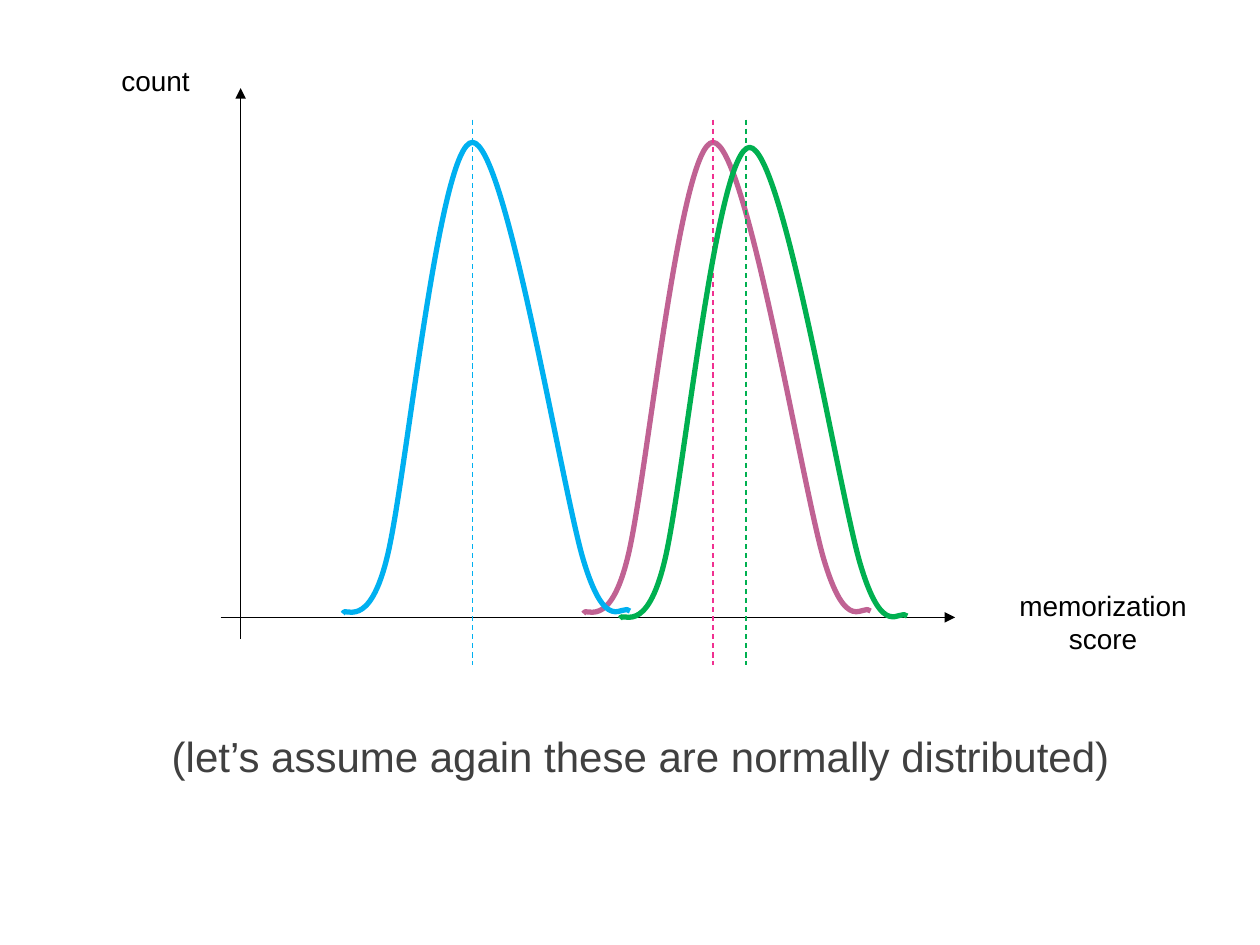
from lxml.etree import SubElement
from pptx import Presentation
from pptx.dml.color import RGBColor
from pptx.enum.dml import MSO_LINE as Dash
from pptx.enum.shapes import MSO_CONNECTOR as Conn, MSO_SHAPE as Shape
from pptx.enum.text import MSO_ANCHOR as Anchor, PP_ALIGN as Align
from pptx.oxml.ns import qn
from pptx.util import Inches, Pt

START = (0, 3.74)
BELL = [
    [(0.01, 3.67), (0.21, 3.91), (0.36, 3.26)],
    [(0.51, 2.61), (0.77, 0), (1.03, 0)],
    [(1.29, 0.01), (1.72, 2.63), (1.9, 3.28)],
    [(2.09, 3.94), (2.22, 3.65), (2.28, 3.72)],
]


def color(code):
    """Turn a hex string into a colour."""
    return RGBColor.from_string(code)


def bend(bell):
    """Turn the straight segments of a bell into cubic curves."""
    sides = list(bell._element.iter(qn("a:lnTo")))
    for side, dots in zip(sides, BELL):
        side.tag = qn("a:cubicBezTo")
        side.clear()
        for x, y in dots:
            SubElement(side, qn("a:pt"), x=str(Inches(x)), y=str(Inches(y)))


def add_bell(shapes, left, top, hue):
    """Draw one bell curve with its box at left and top."""
    knots = [START] + [dots[-1] for dots in BELL]
    dots = [(Inches(left + x), Inches(top + y)) for x, y in knots]
    pen = shapes.build_freeform(*dots[0])
    pen.add_line_segments(dots[1:], close=False)
    bell = pen.convert_to_shape()
    bend(bell)
    bell.shadow.inherit = False
    bell.fill.background()
    bell.line.color.rgb = color(hue)
    bell.line.width = Pt(3)


def add_line(shapes, start, end, hue):
    """Draw a thin straight line and return it."""
    ends = [Inches(n) for n in (*start, *end)]
    line = shapes.add_connector(Conn.STRAIGHT, *ends)
    SubElement(line._element.spPr, qn("a:effectLst"))
    line.line.color.rgb = color(hue)
    line.line.width = Pt(0.75)
    return line


def add_axis(shapes, start, end):
    """Draw a black axis with an arrowhead at its end."""
    axis = add_line(shapes, start, end, "000000")
    SubElement(axis.line._get_or_add_ln(), qn("a:tailEnd"), type="triangle")


def add_mean(shapes, x, hue):
    """Draw a dashed upright line at a mean."""
    add_line(shapes, (x, 0.95), (x, 5.28), hue).line.dash_style = Dash.DASH


def set_text(shape, text, size, hue):
    """Write one centred paragraph from the top of a shape."""
    frame = shape.text_frame
    frame.word_wrap = True
    frame.vertical_anchor = Anchor.TOP
    para = frame.paragraphs[0]
    para.text = text
    para.alignment = Align.CENTER
    para.font.name = "Arial"
    para.font.size = Pt(size)
    para.font.color.rgb = color(hue)


def add_label(shapes, text, *box):
    """Add an axis label in an unfilled rounded box."""
    label = shapes.add_shape(Shape.ROUNDED_RECTANGLE, *map(Inches, box))
    label.shadow.inherit = False
    label.fill.background()
    label.line.fill.background()
    set_text(label, text, 16, "000000")


def add_note(shapes, text, *box):
    """Add the remark below the plot."""
    set_text(shapes.add_textbox(*map(Inches, box)), text, 24, "404040")


def main():
    """Build the slide and save it."""
    deck = Presentation()
    deck.slide_width, deck.slide_height = Inches(10), Inches(7.5)
    shapes = deck.slides.add_slide(deck.slide_layouts[6]).shapes
    pair = shapes.add_group_shape().shapes
    add_bell(pair, 4.63, 1.13, "C06293")
    add_bell(pair, 2.72, 1.13, "00B0F0")
    add_axis(shapes, (1.75, 4.9), (7.58, 4.9))
    add_axis(shapes, (1.91, 5.07), (1.91, 0.7))
    add_mean(shapes, 5.92, "00B050")
    add_mean(shapes, 5.66, "F03191")
    add_label(shapes, "count", 0.83, 0.44, 0.81, 0.38)
    add_label(shapes, "memorization score", 7.77, 4.58, 1.97, 0.82)
    add_bell(shapes, 4.92, 1.17, "00B050")
    add_mean(shapes, 3.75, "00B0F0")
    add_note(shapes, "(let’s assume again these are normally distributed) ",
             0.67, 5.75, 8.92, 0.66)
    deck.save("out.pptx")


if __name__ == "__main__":
    main()
